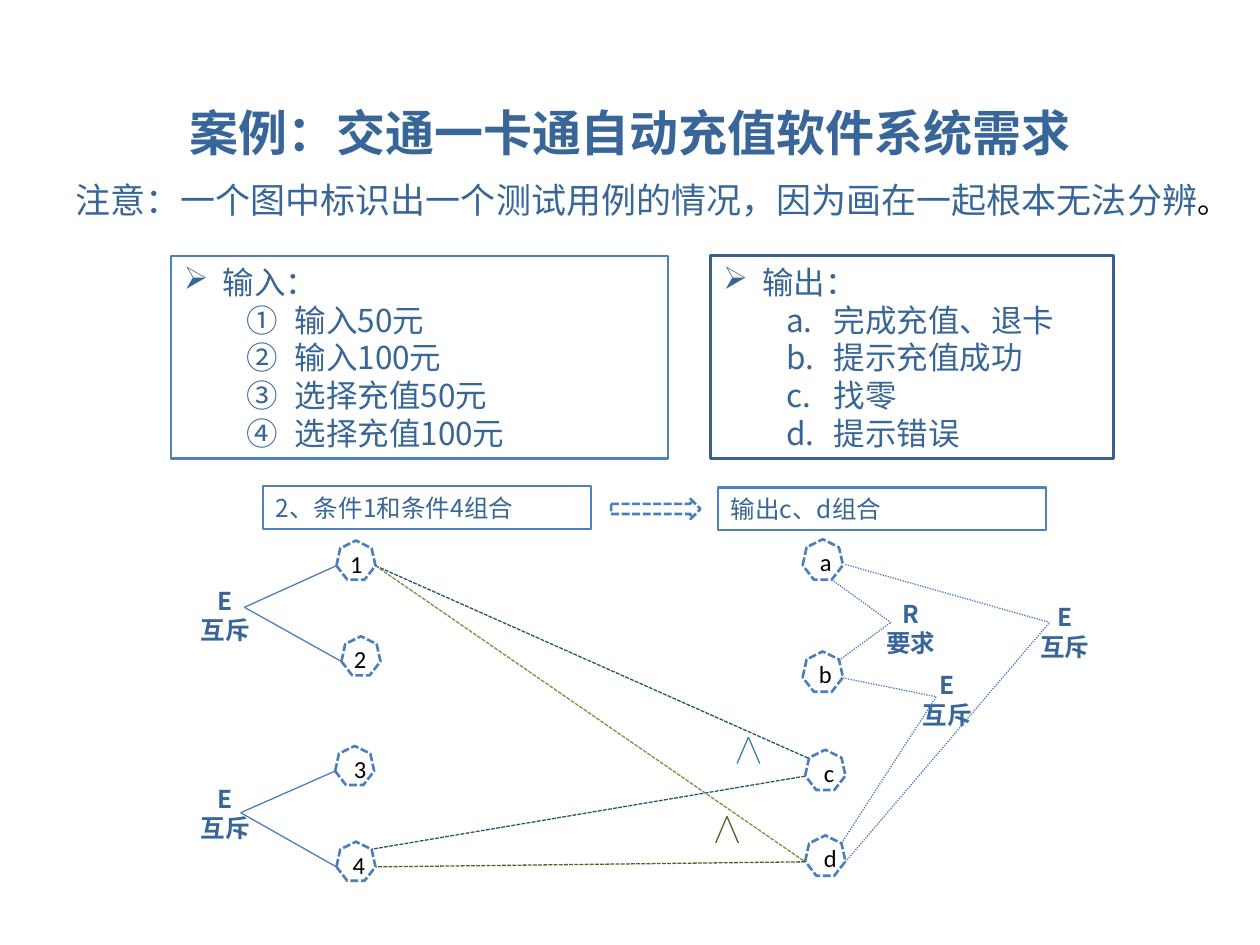
from dataclasses import dataclass

from lxml.etree import SubElement
from pptx import Presentation
from pptx.dml.color import RGBColor
from pptx.enum.dml import MSO_LINE
from pptx.enum.shapes import MSO_CONNECTOR, MSO_SHAPE
from pptx.enum.text import MSO_ANCHOR, PP_ALIGN
from pptx.oxml.ns import qn
from pptx.util import Inches, Pt


@dataclass(frozen=True)
class Theme:
    """Colours, fonts and type sizes of the slide."""
    ink: str = "386698"
    black: str = "000000"
    white: str = "FFFFFF"
    frame: str = "4F81BD"
    dark_frame: str = "3A5F8C"
    graph: str = "4B7EBC"
    teal: str = "215968"
    light_teal: str = "31859C"
    olive: str = "77933C"
    dark_olive: str = "4F6228"
    heading: str = "Noto Sans"
    body: str = "Noto Sans CJK SC"
    latin: str = "Calibri"
    title_size: int = 28
    note_size: int = 20
    list_size: int = 18
    label_size: int = 14


THEME = Theme()


def style_font(font, size, face, color, bold=False):
    """Set size, face, colour and weight for Latin and East Asian text."""
    font.size = Pt(size)
    font.bold = bold
    font.color.rgb = RGBColor.from_string(color)
    font.name = face
    SubElement(font._rPr, qn("a:ea"), typeface=face)


def write(frame, lines, size, face=THEME.body, color=THEME.ink, bold=False,
          align=PP_ALIGN.LEFT, wrap=True):
    """Fill a text frame with evenly spaced lines."""
    frame.word_wrap = wrap
    frame.vertical_anchor = MSO_ANCHOR.MIDDLE
    for index, line in enumerate(lines):
        paragraph = frame.add_paragraph() if index else frame.paragraphs[0]
        paragraph.text = line
        paragraph.alignment = align
        paragraph.line_spacing = Pt(1.2 * size)
        style_font(paragraph.font, size, face, color, bold)


def set_bullet(paragraph, tag, margin, hanging, **attributes):
    """Give a paragraph a hanging bullet or number."""
    properties = paragraph._p.get_or_add_pPr()
    properties.set("marL", str(Inches(margin)))
    properties.set("indent", str(Inches(-hanging)))
    bullet = SubElement(properties, qn(tag), **attributes)
    properties.find(qn("a:defRPr")).addprevious(bullet)


def add_outline(shapes, kind, box, color, width, dash=None, fill=None):
    """Place a shape with a coloured outline and an optional fill."""
    outline = shapes.add_shape(kind, *map(Inches, box))
    outline.shadow.inherit = False
    if fill:
        outline.fill.solid()
        outline.fill.fore_color.rgb = RGBColor.from_string(fill)
    else:
        outline.fill.background()
    outline.line.color.rgb = RGBColor.from_string(color)
    outline.line.width = Pt(width)
    outline.line.dash_style = dash
    return outline


def add_edge(shapes, start, end, color=THEME.graph, dash=None):
    """Draw a thin straight line between two points."""
    edge = shapes.add_connector(MSO_CONNECTOR.STRAIGHT, *map(Inches, (*start, *end)))
    edge.line.color.rgb = RGBColor.from_string(color)
    edge.line.width = Pt(0.75)
    edge.line.dash_style = dash
    SubElement(edge._element.spPr, qn("a:effectLst"))


def add_node(shapes, name, left, top, size, shift):
    """Place a dashed heptagon with its name."""
    caption = shapes.add_textbox(*map(Inches, (left + shift, top + 0.01, 0.24, 0.34)))
    write(caption.text_frame, [name], THEME.label_size, THEME.latin, THEME.black, wrap=False)
    add_outline(shapes, MSO_SHAPE.HEPTAGON, (left, top, size, size),
                THEME.graph, 1.5, MSO_LINE.SQUARE_DOT)


def add_constraint(shapes, symbol, meaning, left, top):
    """Place a two-line bold constraint label."""
    label = shapes.add_textbox(*map(Inches, (left, top, 0.62, 0.57)))
    write(label.text_frame, [symbol, meaning], THEME.label_size, bold=True,
          align=PP_ALIGN.CENTER)


def place_heading(slide, box):
    """Place the title and the note below it."""
    left, top, width, height = box
    title = slide.shapes.title
    title.left, title.top, title.width, title.height = map(Inches, box)
    write(title.text_frame, ["案例：交通一卡通自动充值软件系统需求"], THEME.title_size,
          THEME.heading, bold=True, align=PP_ALIGN.CENTER)
    note = slide.shapes.add_textbox(*map(Inches, (left, top + height, width + 0.47, 0.44)))
    write(note.text_frame, ["注意：一个图中标识出一个测试用例的情况，因为画在一起根本无法分辨"],
          THEME.note_size)
    stop = note.text_frame.paragraphs[0].add_run()
    stop.text = "。"
    style_font(stop.font, THEME.list_size, THEME.latin, THEME.black)


def place_list(slide, box, heading, entries, numbering, color, width):
    """Place a framed list with a bulleted heading and numbered entries."""
    panel = add_outline(slide.shapes, MSO_SHAPE.RECTANGLE, box, color, width, fill=THEME.white)
    write(panel.text_frame, [heading, *entries], THEME.list_size)
    first, *rest = panel.text_frame.paragraphs
    set_bullet(first, "a:buChar", 0.31, 0.31, char="➢")
    for entry in rest:
        entry.level = 1
        set_bullet(entry, "a:buAutoNum", 0.88, 0.38, type=numbering)


def place_exclusive_pair(slide, box, names, node_lefts, shifts, apex, label_top):
    """Place two input nodes joined by an exclusion label."""
    left, top, _, height = box
    shapes = slide.shapes.add_group_shape().shapes
    add_constraint(shapes, "E", "互斥", left, top + label_top)
    for name, node_left, shift, drop in zip(names, node_lefts, shifts, (0, height - 0.31)):
        add_node(shapes, name, left + node_left, top + drop, 0.31, shift)
        add_edge(shapes, (left + apex, top + 0.53), (left + node_left, top + drop + 0.2))


def place_outputs(slide, box):
    """Place the output nodes with their constraints."""
    left, top, _, _ = box
    shapes = slide.shapes.add_group_shape().shapes
    for name, x, y, shift in (("a", 0, 0, 0.04), ("b", 0, 0.89, 0.03),
                              ("c", 0.02, 1.67, 0.05), ("d", 0.02, 2.35, 0.05)):
        add_node(shapes, name, left + x, top + y, 0.32, shift)
    constraints = (
        ("R", "要求", (0.55, 0.42), (0.7, 0.66), ((0.23, 0.32), (0.29, 0.96))),
        ("E", "互斥", (0.84, 0.99), (1.06, 1.25), ((0.32, 1.1), (0.31, 2.41))),
        ("E", "互斥", (1.77, 0.45), (1.96, 0.66), ((0.34, 0.2), (0.34, 2.56))),
    )
    for symbol, meaning, (label_x, label_y), (apex_x, apex_y), ends in constraints:
        add_constraint(shapes, symbol, meaning, left + label_x, top + label_y)
        for x, y in ends:
            add_edge(shapes, (left + x, top + y), (left + apex_x, top + apex_y),
                     dash=MSO_LINE.ROUND_DOT)


def place_links(slide, box):
    """Draw the cause-to-effect links and their AND marks."""
    left, top, _, _ = box
    links = (((0, 0), (3.44, 1.53), THEME.teal), ((3.41, 1.67), (-0.03, 2.25), THEME.teal),
             ((0, 0), (3.41, 2.35), THEME.olive), ((3.41, 2.35), (0.01, 2.39), THEME.dark_olive))
    for (x1, y1), (x2, y2), color in links:
        add_edge(slide.shapes, (left + x1, top + y1), (left + x2, top + y2),
                 color, MSO_LINE.SQUARE_DOT)
    for x, y, color in ((2.96, 1.36, THEME.light_teal), (2.79, 1.99, THEME.dark_olive)):
        mark = slide.shapes.add_group_shape().shapes
        for side in (-0.09, 0.09):
            add_edge(mark, (left + x, top + y), (left + x + side, top + y + 0.21), color)


def place_combination(slide, box):
    """Place the condition, the arrow and the resulting outputs."""
    left, top, _, height = box
    for x, y, text in ((0, 0, "2、条件1和条件4组合"), (3.61, 0.01, "输出c、d组合")):
        panel = add_outline(slide.shapes, MSO_SHAPE.RECTANGLE, (left + x, top + y, 2.6, height),
                            THEME.frame, 1.25, fill=THEME.white)
        write(panel.text_frame, [text], THEME.label_size)
    add_outline(slide.shapes, MSO_SHAPE.RIGHT_ARROW, (left + 2.76, top + 0.1, 0.71, 0.16),
                THEME.graph, 1.5, MSO_LINE.SQUARE_DOT)


def build():
    """Build and save the slide."""
    deck = Presentation()
    deck.slide_width, deck.slide_height = Inches(10), Inches(7.5)
    slide = deck.slides.add_slide(deck.slide_layouts[5])
    place_heading(slide, (0.5, 0.74, 9, 0.62))
    place_list(slide, (1.36, 2.03, 3.94, 1.61), "输入：",
               ["输入50元", "输入100元", "选择充值50元", "选择充值100元"],
               "circleNumDbPlain", THEME.frame, 1.25)
    place_list(slide, (5.64, 2.03, 3.2, 1.61), "输出：",
               ["完成充值、退卡", "提示充值成功", "找零", "提示错误"],
               "alphaLcPeriod", THEME.dark_frame, 1.5)
    place_exclusive_pair(slide, (1.48, 4.29, 1.54, 1.07), "12", (1.19, 1.23), (0.01, 0), 0.46, 0.31)
    place_exclusive_pair(slide, (1.48, 5.92, 1.5, 1.07), "34", (1.18, 1.19), (0.05, 0.03), 0.43, 0.25)
    place_outputs(slide, (6.37, 4.28, 2.4, 2.67))
    place_links(slide, (2.98, 4.49, 3.44, 2.39))
    place_combination(slide, (2.09, 3.86, 6.21, 0.34))
    deck.save("out.pptx")


build()
